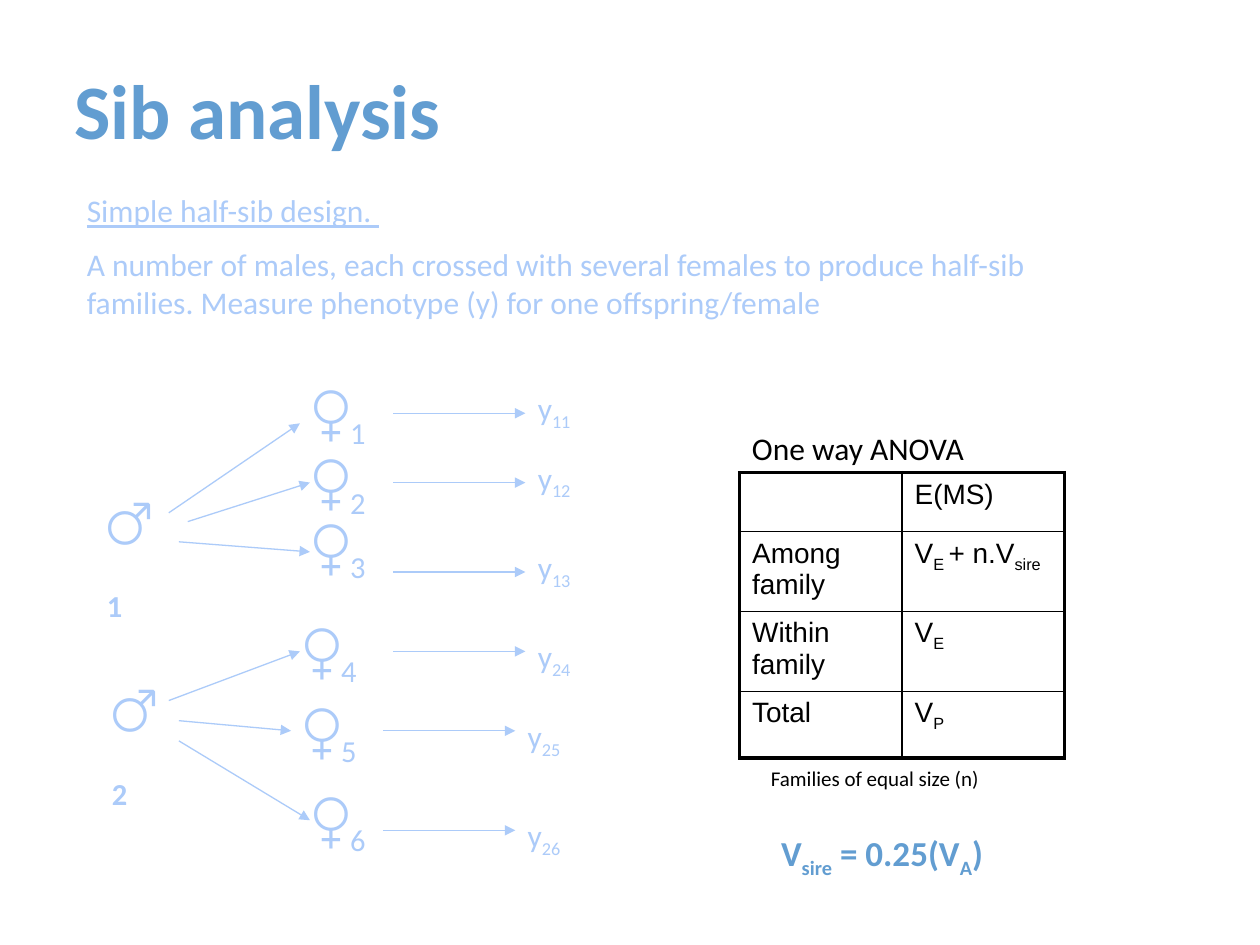
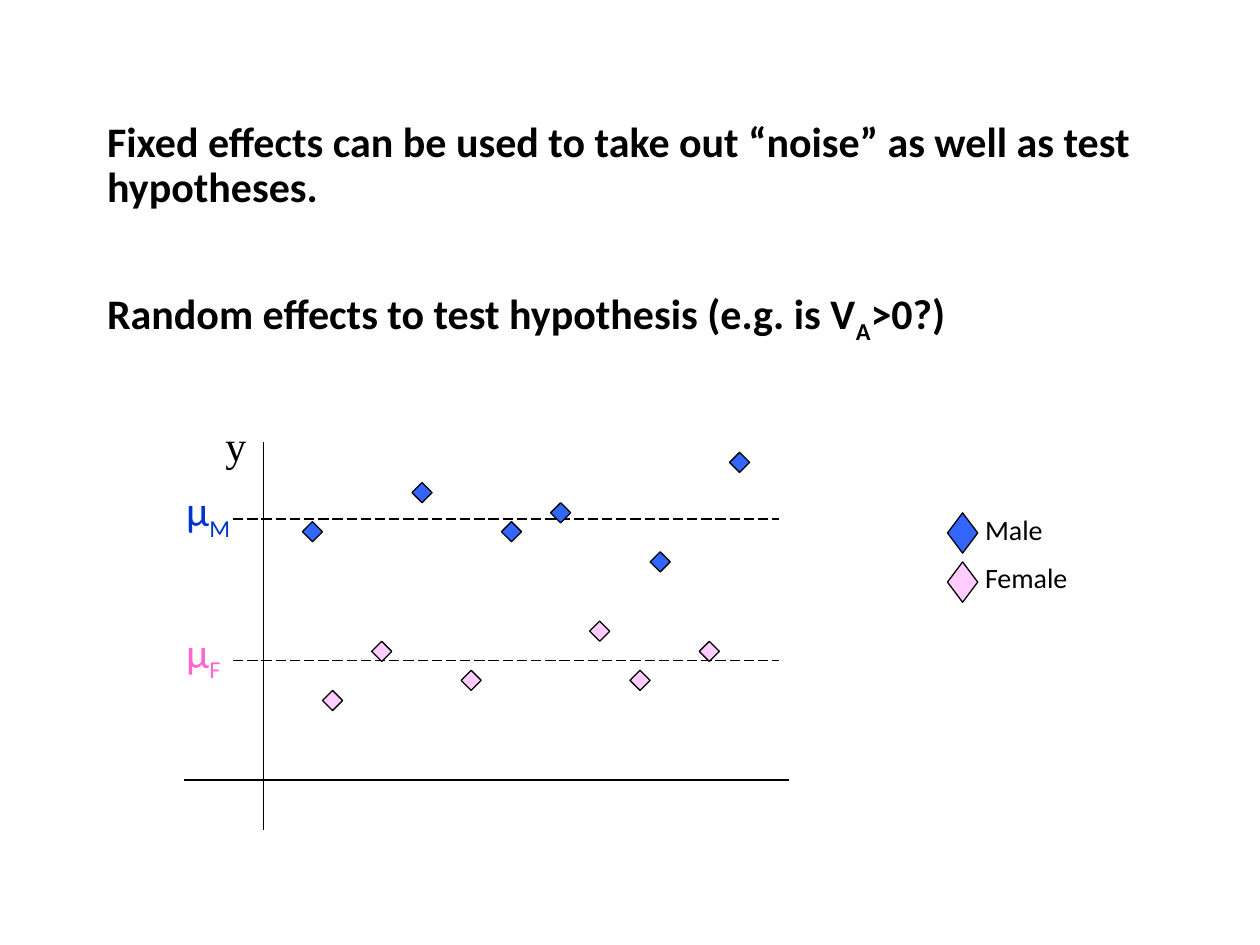
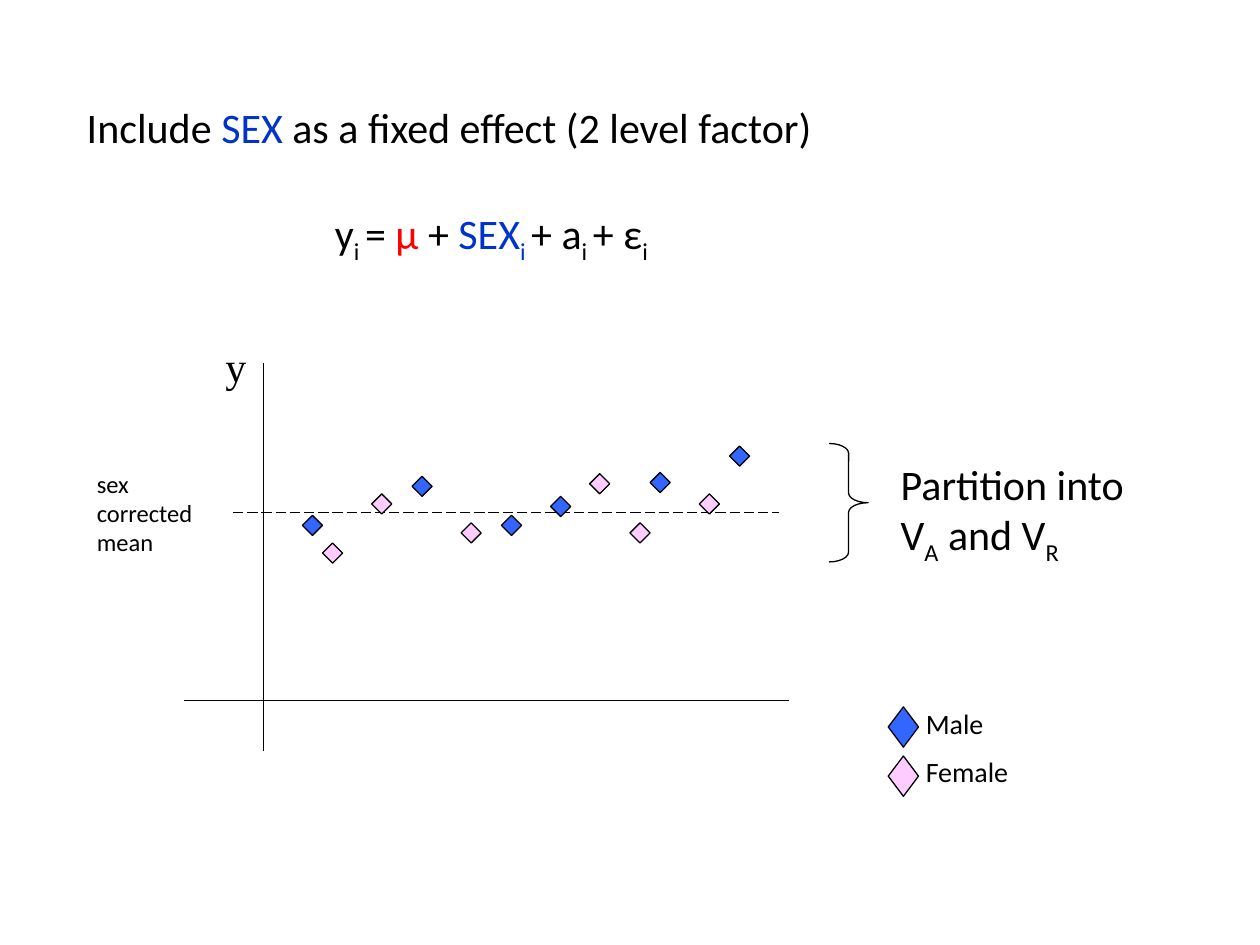
from pptx import Presentation
from pptx.dml.color import RGBColor
from pptx.enum.dml import MSO_LINE
from pptx.enum.shapes import MSO_CONNECTOR, MSO_SHAPE
from pptx.enum.text import MSO_ANCHOR, MSO_AUTO_SIZE, PP_ALIGN
from pptx.oxml.ns import qn
from pptx.util import Inches, Pt
from lxml import etree

STRAIGHT = MSO_CONNECTOR.STRAIGHT
LONG_DASH = MSO_LINE.LONG_DASH
DIAMOND, BRACE = MSO_SHAPE.DIAMOND, MSO_SHAPE.RIGHT_BRACE
MIDDLE, TOP = MSO_ANCHOR.MIDDLE, MSO_ANCHOR.TOP
LEFT = PP_ALIGN.LEFT
NO_FIT = MSO_AUTO_SIZE.NONE

BLACK, SKY, PALE = "000000", "629DD1", "ACCBF9"
NAVY, ROSE, RED = "0033CC", "FF66CC", "FF0000"
MALE, FEMALE = "3366FF", "FFCCFF"
THIN, THICK = 1, 2.25

# Runs are plain strings; a leading underscore marks a subscript, a pair adds a colour.
DESIGN = [["Simple half-sib design. "],
          ["A number of males, each crossed with several females to produce half-sib "
           "families. Measure phenotype (y) for one offspring/female"]]
SIRES = [("1", 0.75, 3.83), ("2", 0.79, 5.32)]
DAMS = [
    dict(sire="1", dam="1", symbol=(2.38, 2.96), start=(1.34, 4.07), end=(2.38, 3.36), row=3.28, trait=(4.17, 3.04)),
    dict(sire="1", dam="2", symbol=(2.38, 3.51), start=(1.49, 4.14), end=(2.46, 3.83), row=3.83, trait=(4.17, 3.59)),
    dict(sire="1", dam="3", symbol=(2.38, 4.02), start=(1.42, 4.3), end=(2.46, 4.38), row=4.54, trait=(4.17, 4.3)),
    dict(sire="2", dam="4", symbol=(2.31, 4.85), start=(1.34, 5.56), end=(2.38, 5.17), row=5.17, trait=(4.17, 5.01)),
    dict(sire="2", dam="5", symbol=(2.31, 5.48), start=(1.42, 5.72), end=(2.31, 5.8), row=5.8, trait=(4.09, 5.64)),
    dict(sire="2", dam="6", symbol=(2.38, 6.19), start=(1.42, 5.88), end=(2.46, 6.51), row=6.59, trait=(4.09, 6.43)),
]
ANOVA = [
    ([], ["E(MS)"]),
    (["Among family"], ["V", "_E ", "+ n.V", "_sire"]),
    (["Within family"], ["V", "_E"]),
    (["Total"], ["V", "_P"]),
]
ANOVA_ROWS = [0.47, 0.63, 0.63, 0.53]
ANOVA_COLUMN = 1.29
EFFECTS = [["Fixed effects can be used to take out “noise” as well as test hypotheses."],
           ["Random effects to test hypothesis (e.g. is V", "_A", ">0?)"]]
MALE_POINTS = {2.4: 0.02, 3.27: -0.29, 3.98: 0.02, 4.37: -0.13, 5.16: 0.26, 5.79: -0.53}
FEMALE_POINTS = {2.56: 0.24, 2.95: -0.15, 3.66: 0.08, 4.68: -0.31, 5: 0.08, 5.55: -0.15}
CORRECTED_MALES = {**MALE_POINTS, 5.16: -0.32}
LEGEND = [("Male", MALE), ("Female", FEMALE)]
SEX_HEADING = [["Include ", ("SEX", NAVY), " as a fixed effect (2 level factor)"]]
MODEL = [["y", "_i ", "= ", ("μ ", RED), "+ ", ("SEX", NAVY), ("_i ", NAVY),
          "+ a", "_i ", "+ ε", "_i"]]


def colour(value):
    return RGBColor.from_string(value)


def write(frame, paragraphs, size, ink=BLACK, name="Calibri", gap=None, spacing=None, **formats):
    for index, runs in enumerate(paragraphs):
        paragraph = frame.paragraphs[0] if index == 0 else frame.add_paragraph()
        paragraph.alignment = LEFT
        paragraph.space_before = Pt((size / 2 if gap is None else gap) if index else 0)
        if spacing:
            paragraph.line_spacing = spacing
        for item in runs:
            text, run_ink = (item, ink) if isinstance(item, str) else item
            run = paragraph.add_run()
            run.text = text.removeprefix("_")
            for key, value in dict(size=Pt(size), name=name, **formats).items():
                setattr(run.font, key, value)
            run.font.color.rgb = colour(run_ink)
            if text.startswith("_"):
                run.font._element.set("baseline", "-25000")


def place(shape, left, top, width, height):
    for key, value in dict(left=left, top=top, width=width, height=height).items():
        setattr(shape, key, Inches(value))


def add_text(slide, box, paragraphs, size, **formats):
    frame = slide.shapes.add_textbox(*map(Inches, box)).text_frame
    frame.word_wrap = True
    write(frame, paragraphs, size, **formats)
    return frame


def fill_placeholder(shape, box, anchor, paragraphs, size, **formats):
    place(shape, *box)
    frame = shape.text_frame
    for key, value in dict(auto_size=NO_FIT, vertical_anchor=anchor, word_wrap=True).items():
        setattr(frame, key, value)
    write(frame, paragraphs, size, spacing=0.9, **formats)
    return frame


def add_line(slide, start, end, ink=BLACK, dash=None, arrow=False):
    connector = slide.shapes.add_connector(STRAIGHT, *map(Inches, (*start, *end)))
    connector.line.width = Pt(0.75)
    connector.line.color.rgb = colour(ink)
    if dash:
        connector.line.dash_style = dash
    if arrow:
        etree.SubElement(connector.line._get_or_add_ln(), qn("a:tailEnd"), type="triangle")
    etree.SubElement(connector._element.spPr, qn("a:effectLst"))


def add_outlined(slide, kind, box, fill=None):
    shape = slide.shapes.add_shape(kind, *map(Inches, box))
    shape.shadow.inherit = False
    shape.line.color.rgb = colour(BLACK)
    shape.line.width = Pt(0.75)
    if fill:
        shape.fill.solid()
        shape.fill.fore_color.rgb = colour(fill)
    else:
        shape.fill.background()
    return shape


def set_borders(cell, widths):
    cell.fill.background()
    properties = cell._tc.get_or_add_tcPr()
    for index, (side, width) in enumerate(zip("LRTB", widths)):
        line = etree.Element(qn(f"a:ln{side}"), w=str(Pt(width)))
        fill = etree.SubElement(line, qn("a:solidFill"))
        etree.SubElement(fill, qn("a:srgbClr"), val=BLACK)
        properties.insert(index, line)


def add_anova(slide, left, top):
    row_count, column_count = len(ANOVA), len(ANOVA[0])
    box = (left, top, ANOVA_COLUMN * column_count, sum(ANOVA_ROWS))
    table = slide.shapes.add_table(row_count, column_count, *map(Inches, box)).table
    for column in table.columns:
        column.width = Inches(ANOVA_COLUMN)
    for row, cells in enumerate(ANOVA):
        table.rows[row].height = Inches(ANOVA_ROWS[row])
        for column, runs in enumerate(cells):
            cell = table.cell(row, column)
            write(cell.text_frame, [runs], 16, name="Arial", bold=False)
            outer = (column == 0, column == column_count - 1, row == 0, row == row_count - 1)
            set_borders(cell, [THICK if edge else THIN for edge in outer])


def add_axes(slide, top):
    add_line(slide, (2.09, top), (2.09, top + 3.08))
    add_line(slide, (1.46, top + 2.68), (6.26, top + 2.68))
    add_text(slide, (1.69, top - 0.23, 0.39, 0.5), [["y"]], 24, name="Times New Roman")


def add_mean(slide, mean):
    add_line(slide, (1.85, mean), (6.18, mean), dash=LONG_DASH)


def add_points(slide, points, mean, fill):
    for left, deviation in points.items():
        add_outlined(slide, DIAMOND, (left, mean + deviation, 0.16, 0.16), fill)


def add_legend(slide, left, top):
    for index, (_, fill) in enumerate(LEGEND):
        add_outlined(slide, DIAMOND, (left, top + 0.05 + 0.39 * index, 0.24, 0.32), fill)
    add_text(slide, (left + 0.2, top, 1.34, 0.77), [[label] for label, _ in LEGEND], 16)


def build_sib_analysis(presentation):
    slide = presentation.slides.add_slide(presentation.slide_layouts[5])
    fill_placeholder(slide.shapes.title, (0.49, 0.36, 9, 1.1), MIDDLE,
                     [["Sib analysis"]], 44, ink=SKY, bold=True)
    design = add_text(slide, (0.59, 1.47, 7.95, 1.15), DESIGN, 18, ink=PALE)
    design.paragraphs[0].runs[0].font.underline = True
    for sire, left, top in SIRES:
        frame = add_text(slide, (left, top, 0.67, 0.6), [["♂", f"_{sire}"]], 30, ink=PALE, bold=True)
        frame.margin_right = Inches(0.15)
    for dam in DAMS:
        add_text(slide, (*dam["symbol"], 0.74, 0.6), [["♀", f"_{dam['dam']}"]], 30, ink=PALE)
        add_line(slide, dam["start"], dam["end"], PALE, arrow=True)
        trait_left, row = dam["trait"][0], dam["row"]
        add_line(slide, (trait_left - 1.05, row), (trait_left, row), PALE, arrow=True)
        add_text(slide, (*dam["trait"], 0.6, 0.4), [["y", f"_{dam['sire']}{dam['dam']}"]], 18, ink=PALE)
    add_anova(slide, 5.87, 3.75)
    add_text(slide, (5.87, 3.36, 2.76, 0.4), [["One way ANOVA"]], 18)
    add_text(slide, (6.02, 6.03, 2.44, 0.3), [["Families of equal size (n)"]], 12)
    add_text(slide, (6.1, 6.55, 3.31, 0.43), [["V", "_sire", " = 0.25(V", "_A", ")"]],
             20, ink=SKY, bold=True)


def build_effects(presentation):
    slide = presentation.slides.add_slide(presentation.slide_layouts[1])
    title = slide.shapes.title._element
    title.getparent().remove(title)
    frame = fill_placeholder(slide.placeholders[1], (0.75, 0.91, 8.5, 4.5), TOP,
                             EFFECTS, 24, gap=44, bold=True)
    for paragraph in frame.paragraphs:
        properties = paragraph._p.get_or_add_pPr()
        properties.set("marL", "0")
        properties.set("indent", "0")
        etree.SubElement(properties, qn("a:buNone"))
    add_axes(slide, 3.51)
    for letter, mean, ink, points, fill in [("M", 4.12, NAVY, MALE_POINTS, MALE),
                                            ("F", 5.24, ROSE, FEMALE_POINTS, FEMALE)]:
        add_mean(slide, mean)
        add_text(slide, (1.38, mean - 0.32, 0.63, 0.5), [["μ", f"_{letter}"]], 24, ink=ink)
        add_points(slide, points, mean, fill)
    add_legend(slide, 7.52, 4.02)


def build_sex_model(presentation):
    slide = presentation.slides.add_slide(presentation.slide_layouts[6])
    mean = 4.07
    add_axes(slide, 2.88)
    add_mean(slide, mean)
    add_points(slide, CORRECTED_MALES, mean, MALE)
    add_points(slide, FEMALE_POINTS, mean, FEMALE)
    add_legend(slide, 7.05, 5.56)
    add_text(slide, (0.67, 3.67, 1.1, 0.8), [["sex corrected mean"]], 14)
    brace = add_outlined(slide, BRACE, (6.58, 3.52, 0.31, 0.94))
    brace.adjustments[0] = 0.25
    add_text(slide, (7.05, 3.59, 2.2, 0.9), [["Partition into V", "_A", " and V", "_R"]], 24)
    add_text(slide, (0.59, 0.76, 8.43, 0.5), SEX_HEADING, 24)
    add_text(slide, (2.56, 1.6, 3.21, 0.5), MODEL, 24)


def main():
    presentation = Presentation()
    presentation.slide_width = Inches(10)
    presentation.slide_height = Inches(7.5)
    build_sib_analysis(presentation)
    build_effects(presentation)
    build_sex_model(presentation)
    presentation.save("out.pptx")


if __name__ == "__main__":
    main()
